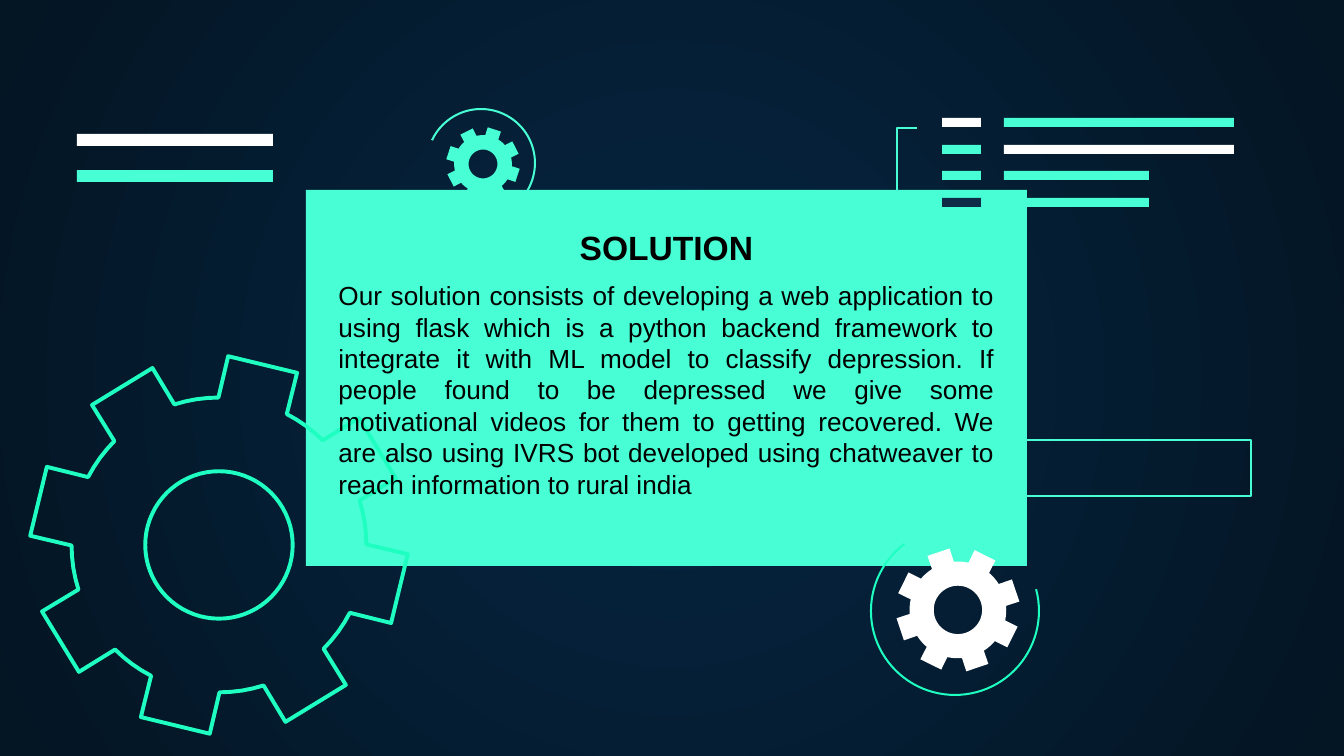
from math import cos, radians, sin
from lxml.etree import SubElement
from pptx import Presentation
from pptx.dml.color import RGBColor
from pptx.enum.shapes import MSO_SHAPE
from pptx.enum.text import MSO_ANCHOR, MSO_AUTO_SIZE, PP_ALIGN
from pptx.oxml.ns import qn
from pptx.util import Pt

PX = 914400 / 134.4
COLORS = {
    "mint": "48FFD5", "bright": "1EFFC1", "white": "FFFFFF", "navy": "0E2A47",
    "black": "000000", "center": "052643", "edge": "041523",
}


def paint(shape, fill=None, line=None, weight=1.09):
    shape.shadow.inherit = False
    if fill:
        shape.fill.solid()
        shape.fill.fore_color.rgb = RGBColor.from_string(COLORS[fill])
    else:
        shape.fill.background()
    if line:
        shape.line.color.rgb = RGBColor.from_string(COLORS[line])
        shape.line.width = Pt(weight)
    else:
        shape.line.fill.background()


def add_gear(center_x, center_y, radius, phase):
    def polar(reach, angle):
        return (100 * (center_x + reach * cos(radians(angle))),
                100 * (center_y + reach * sin(radians(angle))))

    root = 0.78 * radius
    rim = []
    for tooth in range(8):
        middle = phase + 45 * tooth
        rim += [polar(root, middle - 13.8), polar(radius, middle - 10.8),
                polar(radius, middle + 10.8), polar(root, middle + 13.8)]
        rim += [polar(root, middle + 13.8 + step * 17.4 / 4) for step in (1, 2, 3)]
    hole = [polar(0.39 * radius, angle) for angle in range(0, 360, 5)]
    builder = page.shapes.build_freeform(*rim[0], scale=PX / 100)
    builder.add_line_segments(rim[1:], close=True)
    builder.move_to(*hole[0])
    builder.add_line_segments(hole[1:], close=True)
    return builder.convert_to_shape()


deck = Presentation()
deck.slide_width = round(1344 * PX)
deck.slide_height = round(756 * PX)
page = deck.slides.add_slide(deck.slide_layouts[1])

background = page.background.fill
background.gradient()
for stop, name in zip(background.gradient_stops, ("center", "edge")):
    stop.color.rgb = RGBColor.from_string(COLORS[name])
    stop.position = 0 if name == "center" else 1
gradient = page.background._cSld.find(".//" + qn("a:gradFill"))
gradient.remove(gradient.find(qn("a:lin")))
radial = SubElement(gradient, qn("a:path"), {"path": "circle"})
SubElement(radial, qn("a:fillToRect"), dict.fromkeys("ltrb", "50000"))

rectangles = [
    (306, 190, 721, 376, "mint", None),
    (968, 440, 283, 56, None, "mint"),
    (77, 134, 196, 12, "white", None),
    (77, 170, 196, 12, "mint", None),
]
rows = [("white", "mint", 230), ("mint", "white", 230),
        ("mint", "mint", 145), ("navy", "mint", 145)]
for top, (marker, bar, width) in zip((118, 145, 171, 198), rows):
    rectangles += [(942, top, 39, 9, marker, None), (1004, top, width, 9, bar, None)]
for left, top, width, height, fill, line in rectangles:
    rectangle = page.shapes.add_shape(
        MSO_SHAPE.RECTANGLE, *(round(n * PX) for n in (left, top, width, height)))
    paint(rectangle, fill, line)

arcs = [(481, 163, 54, 205, 95, "mint"), (955, 611, 84, 345, 233, "bright")]
for center_x, center_y, radius, start, end, line in arcs:
    arc = page.shapes.add_shape(
        MSO_SHAPE.ARC, round((center_x - radius) * PX), round((center_y - radius) * PX),
        round(2 * radius * PX), round(2 * radius * PX))
    arc.adjustments[0] = start * 0.6
    arc.adjustments[1] = end * 0.6
    paint(arc, line=line)

paint(add_gear(219, 545, 189, 13.6), line="bright", weight=2.1)
paint(add_gear(958, 610, 62, 26.4), fill="white")
paint(add_gear(483, 164, 37, 18.2), fill="mint")

builder = page.shapes.build_freeform(917, 209, scale=PX)
builder.add_line_segments([(897, 209), (897, 128), (917, 128)], close=False)
paint(builder.convert_to_shape(), line="mint")

title, body = page.placeholders
texts = [
    (title, (346, 220, 641, 54), "SOLUTION", 18, True, PP_ALIGN.CENTER),
    (body, (325, 273, 683, 235),
     "Our solution consists of developing a web application to using flask which is "
     "a python backend framework to integrate it with ML model to classify depression. "
     "If people found to be depressed we give some motivational videos for them to "
     "getting recovered. We are also using IVRS bot developed using chatweaver to "
     "reach information to rural india", 14, False, PP_ALIGN.JUSTIFY),
]
for box, bounds, words, size, bold, alignment in texts:
    box.left, box.top, box.width, box.height = (round(n * PX) for n in bounds)
    page.shapes._spTree.append(box._element)
    frame = box.text_frame
    frame.text = words
    frame.word_wrap = True
    frame.auto_size = MSO_AUTO_SIZE.NONE
    frame.vertical_anchor = MSO_ANCHOR.TOP
    para = frame.paragraphs[0]
    para.alignment = alignment
    para.line_spacing = 1.0
    para.space_before = Pt(0)
    properties = para._p.get_or_add_pPr()
    properties.set("marL", "0")
    properties.set("indent", "0")
    SubElement(properties, qn("a:buNone"))
    span = para.runs[0]
    span.font.name = "Arial"
    span.font.size = Pt(size)
    span.font.bold = bold
    span.font.color.rgb = RGBColor.from_string(COLORS["black"])

deck.save("out.pptx")
